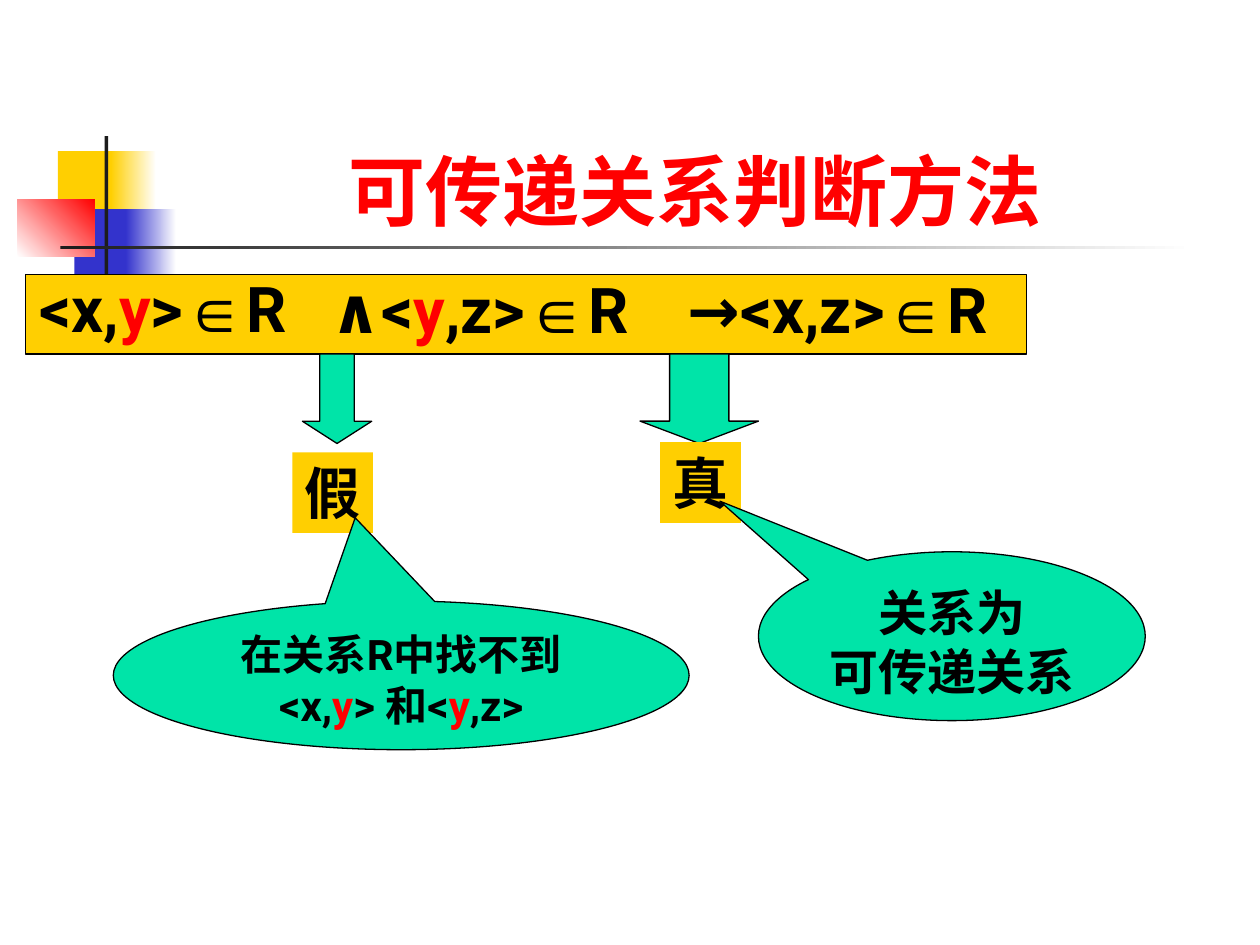
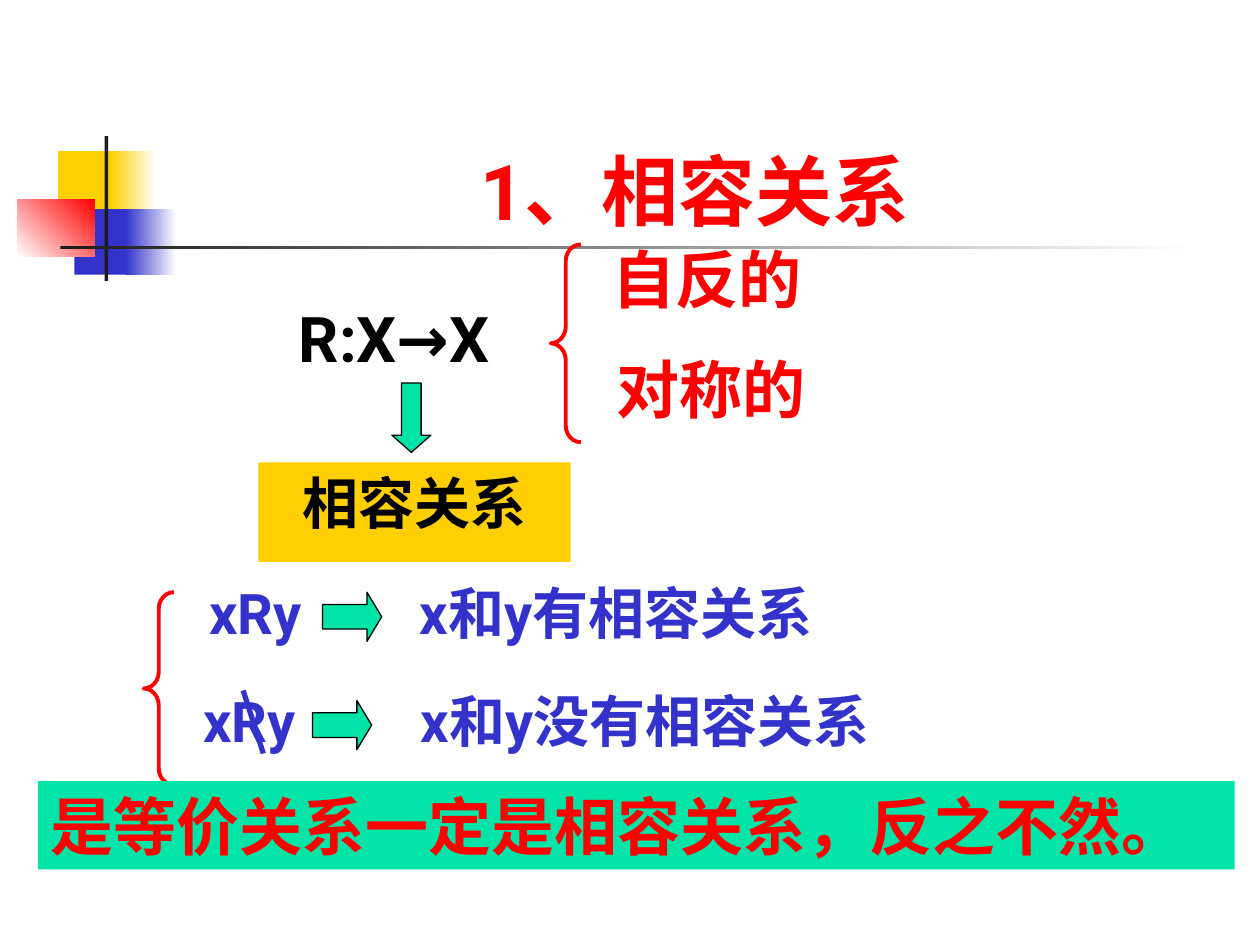
from lxml.etree import SubElement
from pptx import Presentation
from pptx.dml.color import RGBColor
from pptx.enum.shapes import MSO_CONNECTOR, MSO_SHAPE
from pptx.enum.text import MSO_ANCHOR, PP_ALIGN
from pptx.oxml.ns import qn
from pptx.util import Inches, Pt

YELLOW, BLUE, RED = "FFCF01", "3333CC", "FF0000"
GREEN, DARK, BLACK, WHITE = "00E4A8", "1C1C1C", "000000", "FFFFFF"
TEXT_FONT, SYMBOL_FONT = "Roboto", "Arial"


def rgb(value):
    return RGBColor.from_string(value)


class Deck:
    """Holds the shared style and the slide being built."""

    def __init__(self):
        self.prs = Presentation()
        self.prs.slide_width, self.prs.slide_height = Inches(10), Inches(7.5)
        self.slide = None

    def new_slide(self, title):
        self.slide = self.prs.slides.add_slide(self.prs.slide_layouts[6])
        # Corner squares and crossing rules
        self.shape((0.46, 1.2, 0.48, 0.52), YELLOW)
        self.gradient((0.88, 1.2, 0.36, 0.52), YELLOW, WHITE)
        self.shape((0.59, 1.66, 0.46, 0.52), BLUE)
        self.gradient((1, 1.66, 0.4, 0.52), BLUE, WHITE)
        self.gradient((0.14, 1.58, 0.61, 0.46), WHITE, RED, 45)
        self.shape((0.83, 1.08, 0.03, 1.15), DARK)
        self.gradient((0.48, 1.95, 9, 0.03), DARK, WHITE)
        # Title
        heading = self.text((1.26, 0.67, 8.52, 1.25), title, 44, RED, wrap=True)
        heading.text_frame.vertical_anchor = MSO_ANCHOR.BOTTOM

    def shape(self, box, fill=None, kind=MSO_SHAPE.RECTANGLE, line=None,
              width=0.75, adjust=()):
        item = self.slide.shapes.add_shape(kind, *map(Inches, box))
        item.shadow.inherit = False
        for index, value in enumerate(adjust):
            item.adjustments[index] = value
        if fill:
            item.fill.solid()
            item.fill.fore_color.rgb = rgb(fill)
        else:
            item.fill.background()
        if line:
            item.line.color.rgb = rgb(line)
            item.line.width = Pt(width)
        else:
            item.line.fill.background()
        return item

    def gradient(self, box, start, end, angle=0):
        item = self.shape(box, start)
        item.fill.gradient()
        item.fill.gradient_angle = angle
        for stop, colour, place in zip(item.fill.gradient_stops, (start, end), (0, 1)):
            stop.color.rgb = rgb(colour)
            stop.position = place

    def arrow(self, box, head, kind=MSO_SHAPE.DOWN_ARROW):
        self.shape(box, GREEN, kind, BLACK, adjust=(0.5, head))

    def brace(self, box):
        self.shape(box, None, MSO_SHAPE.LEFT_BRACE, RED, 2.25, (0.55, 0.5))

    def callout(self, box, tip, lines, size):
        bubble = self.shape(box, GREEN, MSO_SHAPE.OVAL_CALLOUT, BLACK, adjust=tip)
        self.put_text(bubble, lines, size, wrap=True)

    def strike(self, start, end):
        line = self.slide.shapes.add_connector(
            MSO_CONNECTOR.STRAIGHT, *map(Inches, start + end))
        line.line.color.rgb = rgb(BLUE)
        line.line.width = Pt(3)
        SubElement(line._element.spPr, qn("a:effectLst"))

    def text(self, box, content, size, colour=BLACK, wrap=False):
        item = self.slide.shapes.add_textbox(*map(Inches, box))
        return self.put_text(item, [content], size, colour, wrap)

    def put_text(self, item, lines, size, colour=BLACK, wrap=False,
                 align=PP_ALIGN.CENTER):
        """Each line is a string or a list of strings and (string, colour, font)."""
        frame = item.text_frame
        frame.word_wrap = wrap
        frame.vertical_anchor = MSO_ANCHOR.TOP
        for index, pieces in enumerate(lines):
            paragraph = frame.add_paragraph() if index else frame.paragraphs[0]
            paragraph.alignment = align
            for piece in [pieces] if isinstance(pieces, str) else pieces:
                words, tint, face = (
                    (piece, colour, TEXT_FONT) if isinstance(piece, str) else piece)
                run = paragraph.add_run()
                run.text = words
                run.font.size, run.font.bold, run.font.name = Pt(size), True, face
                run.font.color.rgb = rgb(tint)
                SubElement(run.font._element, qn("a:ea"), typeface=face)
        return item


SHARED_Y = ("y", RED, TEXT_FONT)
MEMBER = ("∈", BLACK, SYMBOL_FONT)


def transitive_slide(deck):
    deck.new_slide("可传递关系判断方法")
    # Formula band
    deck.shape((0.2, 2.18, 7.95, 0.63), YELLOW, line=BLACK)
    deck.text((0.21, 2.09, 2.17, 0.7), ["<x,", SHARED_Y, ">", MEMBER, "R"], 36)
    deck.text((2.49, 2.1, 2.75, 0.7), ["∧<", SHARED_Y, ",z>", MEMBER, "R "], 36)
    deck.text((4.92, 2.1, 3.46, 0.7), ["→<x,z>", MEMBER, "R"], 36, wrap=True)
    # False and true branches
    branches = [
        ((2.4, 2.81, 0.55, 0.71), 0.32, (2.32, 3.59), "假",
         (0.9, 4.77, 4.57, 1.18), (-0.08, -1.06),
         [["在关系R中找不到<x,", SHARED_Y, "> 和<", SHARED_Y, ",z>"]], 24),
        ((5.08, 2.81, 0.94, 0.71), 0.25, (5.24, 3.51), "真",
         (6.02, 4.38, 3.07, 1.34), (-0.6, -0.8),
         ["关系为", "可传递关系"], 28),
    ]
    for arrow, head, corner, verdict, bubble, tip, reason, size in branches:
        deck.arrow(arrow, head)
        deck.put_text(deck.shape(corner + (0.64, 0.64), YELLOW), [verdict], 32)
        deck.callout(bubble, tip, reason, size)


def compatible_slide(deck):
    deck.new_slide("1、相容关系")
    # Definition
    definition = deck.shape((2.05, 3.67, 2.48, 0.79), YELLOW)
    deck.put_text(definition, ["相容关系"], 32, wrap=True)
    deck.text((2.25, 2.33, 1.76, 0.7), "R:X→X", 36)
    deck.brace((4.37, 1.94, 0.24, 1.57))
    deck.text((4.76, 1.86, 1.7, 0.7), "自反的", 36, RED)
    deck.text((4.79, 2.73, 1.7, 0.7), "对称的", 36, RED)
    deck.arrow((3.11, 3.04, 0.31, 0.55), 0.44)
    # Related and unrelated pairs
    deck.brace((1.14, 4.7, 0.24, 1.53))
    pairs = [
        (4.54, 1.53, 2.56, 3.04, 3.7, "x和y有相容关系"),
        (5.4, 1.48, 2.48, 3.05, 4.14, "x和y没有相容关系"),
    ]
    for top, pair_left, arrow_left, left, width, meaning in pairs:
        deck.text((pair_left, top, 1, 0.64), "xRy", 32, BLUE)
        deck.arrow((arrow_left, top + 0.16, 0.47, 0.39), 0.3, MSO_SHAPE.RIGHT_ARROW)
        deck.text((left, top, width, 0.64), meaning, 32, BLUE)
    deck.strike((1.93, 5.48), (2.09, 5.98))
    # Conclusion
    conclusion = deck.shape((0.3, 6.2, 9.5, 0.7), GREEN)
    deck.put_text(conclusion, ["是等价关系一定是相容关系，反之不然。"], 36, RED,
                  wrap=True, align=PP_ALIGN.LEFT)


def main():
    deck = Deck()
    transitive_slide(deck)
    compatible_slide(deck)
    deck.prs.save("out.pptx")


if __name__ == "__main__":
    main()
